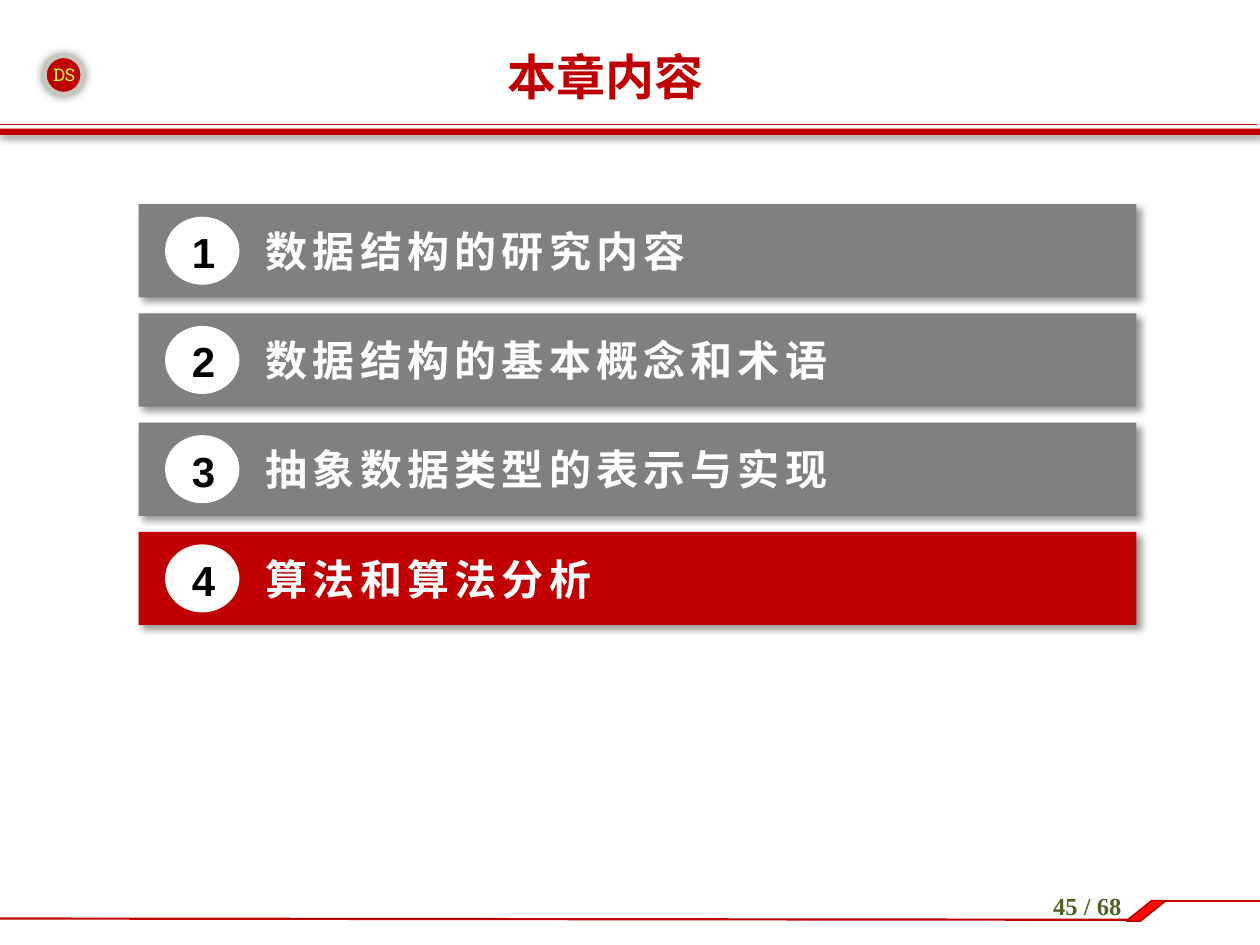
from lxml import etree
from pptx import Presentation, util as u
from pptx.dml.color import RGBColor
from pptx.enum import shapes, text
from pptx.oxml import ns

SLIDE_WIDTH, SLIDE_HEIGHT = u.Inches(10), u.Inches(7.5)
COLUMN, ROW = SLIDE_WIDTH / 100, SLIDE_HEIGHT / 75
RED, GRAY, WHITE, BLACK = "C00000", "808080", "FFFFFF", "000000"
CJK_FONT = "Noto Sans CJK SC"
CHAPTERS = ["数据结构的研究内容", "数据结构的基本概念和术语",
            "抽象数据类型的表示与实现", "算法和算法分析"]
CURRENT_CHAPTER = 4
FIRST_BAR_TOP, BAR_PITCH = 16.2, 8.67


def rgb(hex_color):
    """Turn a hex string into a colour."""
    return RGBColor.from_string(hex_color)


def place(columns, rows):
    """Turn a grid position into slide lengths."""
    return u.Emu(round(columns * COLUMN)), u.Emu(round(rows * ROW))


def add_shadow(shape, blur, distance, angle):
    """Give a shape a soft black outer shadow."""
    effects = shape._element.spPr.find(ns.qn("a:effectLst"))
    shadow = etree.SubElement(
        effects, ns.qn("a:outerShdw"), blurRad=str(u.Pt(blur)),
        dist=str(u.Pt(distance)), dir=str(angle * 60000),
        algn="ctr" if distance == 0 else "tl", rotWithShape="0")
    color = etree.SubElement(shadow, ns.qn("a:srgbClr"), val=BLACK)
    etree.SubElement(color, ns.qn("a:alpha"), val="40000")


def add_figure(slide, preset, left, top, width, height, fill,
               outline=None, shadow=None):
    """Add a filled preset shape with an optional outline and shadow."""
    figure = slide.shapes.add_shape(
        preset, *place(left, top), *place(width, height))
    figure.shadow.inherit = False
    figure.fill.solid()
    figure.fill.fore_color.rgb = rgb(fill)
    if outline:
        color, weight = outline
        figure.line.color.rgb = rgb(color)
        figure.line.width = u.Pt(weight)
    else:
        figure.line.fill.background()
    if shadow:
        add_shadow(figure, *shadow)
    return figure


def add_rule(slide, start, end, weight):
    """Add a thin red line between two grid points."""
    rule = slide.shapes.add_connector(
        shapes.MSO_CONNECTOR.STRAIGHT, *place(*start), *place(*end))
    rule.line.color.rgb = rgb(RED)
    rule.line.width = u.Pt(weight)
    etree.SubElement(rule._element.spPr, ns.qn("a:effectLst"))


def add_label(slide, words, left, top, width, height, size, font, color,
              bold=True, centered=True, middle=False, spacing=0):
    """Add a one-line text box."""
    label = slide.shapes.add_textbox(*place(left, top), *place(width, height))
    frame = label.text_frame
    frame.word_wrap = True
    if middle:
        frame.vertical_anchor = text.MSO_ANCHOR.MIDDLE
    line = frame.paragraphs[0]
    if centered:
        line.alignment = text.PP_ALIGN.CENTER
    run = line.add_run()
    run.text = words
    properties = run._r.get_or_add_rPr()
    if spacing:
        properties.set("spc", str(spacing * 100))
    etree.SubElement(properties, ns.qn("a:ea"), typeface=CJK_FONT)
    line.font.size = u.Pt(size)
    line.font.name = font
    line.font.bold = bold
    line.font.color.rgb = rgb(color)


def add_header(slide):
    """Add the badge, the title and the double rule under them."""
    add_figure(slide, shapes.MSO_SHAPE.OVAL, 3.5, 4.4, 3.1, 3.1, RED,
               outline=("C8C6BD", 3), shadow=(5, 0, 0))
    add_rule(slide, (-0.2, 9.9), (99.8, 9.9), 0.25)
    add_figure(slide, shapes.MSO_SHAPE.RECTANGLE, -0.3, 10.2, 100.3, 0.5, RED,
               shadow=(4, 3, 45))
    add_label(slide, "DS", 2.4, 4.6, 5.4, 2.7, 10, "Roboto Slab", "CCFF33",
              bold=False)
    add_label(slide, "本章内容", 8.3, 3, 79.5, 6.1, 28, "Times New Roman", RED,
              middle=True)


def add_footer(slide):
    """Add the stepped rule and the page number."""
    add_rule(slide, (0, 72.9), (89.6, 73), 1.25)
    add_rule(slide, (91.7, 71.5), (100, 71.5), 1.5)
    step = add_figure(slide, shapes.MSO_SHAPE.PARALLELOGRAM,
                      89.4, 71.5, 3.1, 1.6, "FF0909", outline=(RED, 1))
    step.adjustments[0] = 1.24
    add_label(slide, "45 / 68", 80, 70.2, 12.6, 4, 14, "Times New Roman",
              "4F6228")


def add_chapter(slide, number, name):
    """Add one numbered chapter bar, red when it is the current one."""
    top = FIRST_BAR_TOP + (number - 1) * BAR_PITCH
    fill = RED if number == CURRENT_CHAPTER else GRAY
    add_figure(slide, shapes.MSO_SHAPE.RECTANGLE, 11, top, 79.2, 7.4, fill,
               shadow=(4, 3, 45))
    add_figure(slide, shapes.MSO_SHAPE.OVAL, 13.1, top + 1, 5.9, 5.4, WHITE)
    add_label(slide, name, 20.1, top + 1.2, 70.1, 5.1, 24, CJK_FONT, WHITE,
              centered=False, spacing=3)
    add_label(slide, str(number), 13, top + 1.3, 6.3, 5.1, 24, "Arial", BLACK)


def main():
    """Build the chapter overview slide."""
    deck = Presentation()
    deck.slide_width, deck.slide_height = SLIDE_WIDTH, SLIDE_HEIGHT
    slide = deck.slides.add_slide(deck.slide_layouts[6])
    add_header(slide)
    add_footer(slide)
    for number, name in enumerate(CHAPTERS, start=1):
        add_chapter(slide, number, name)
    deck.save("out.pptx")


if __name__ == "__main__":
    main()
